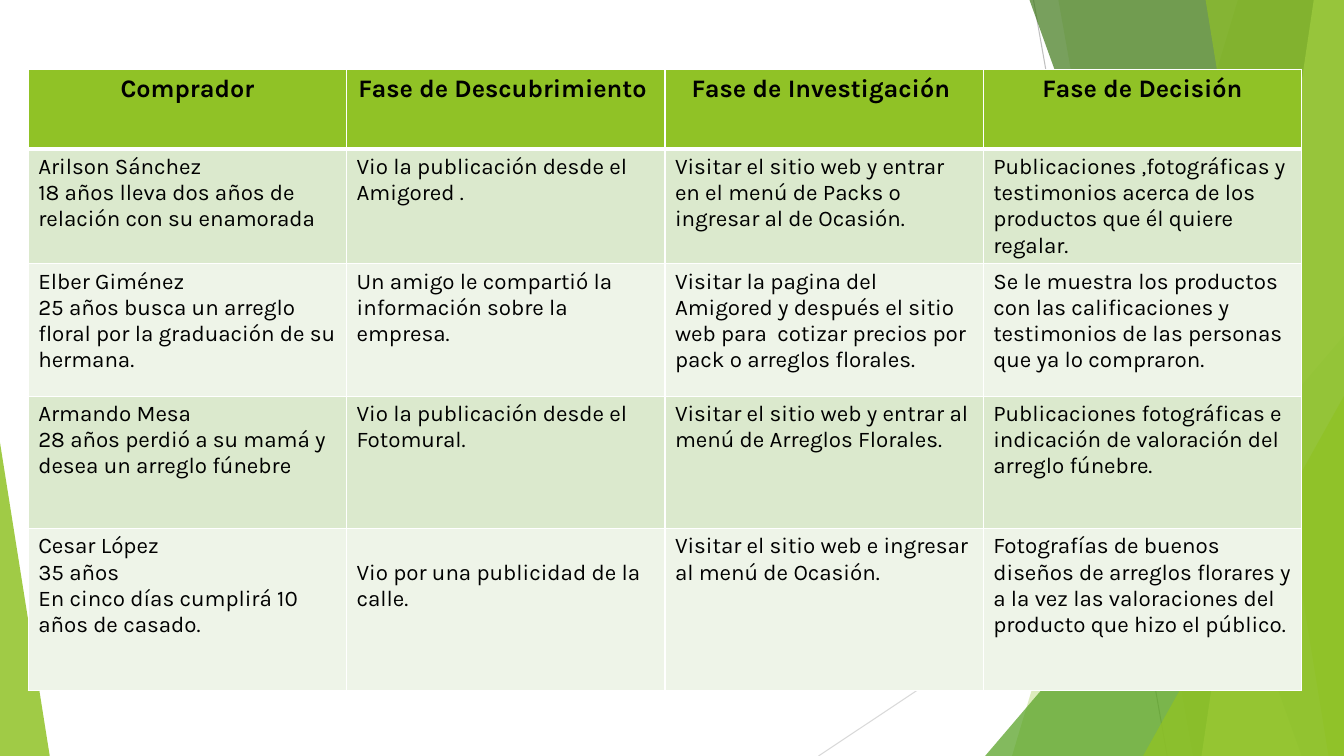
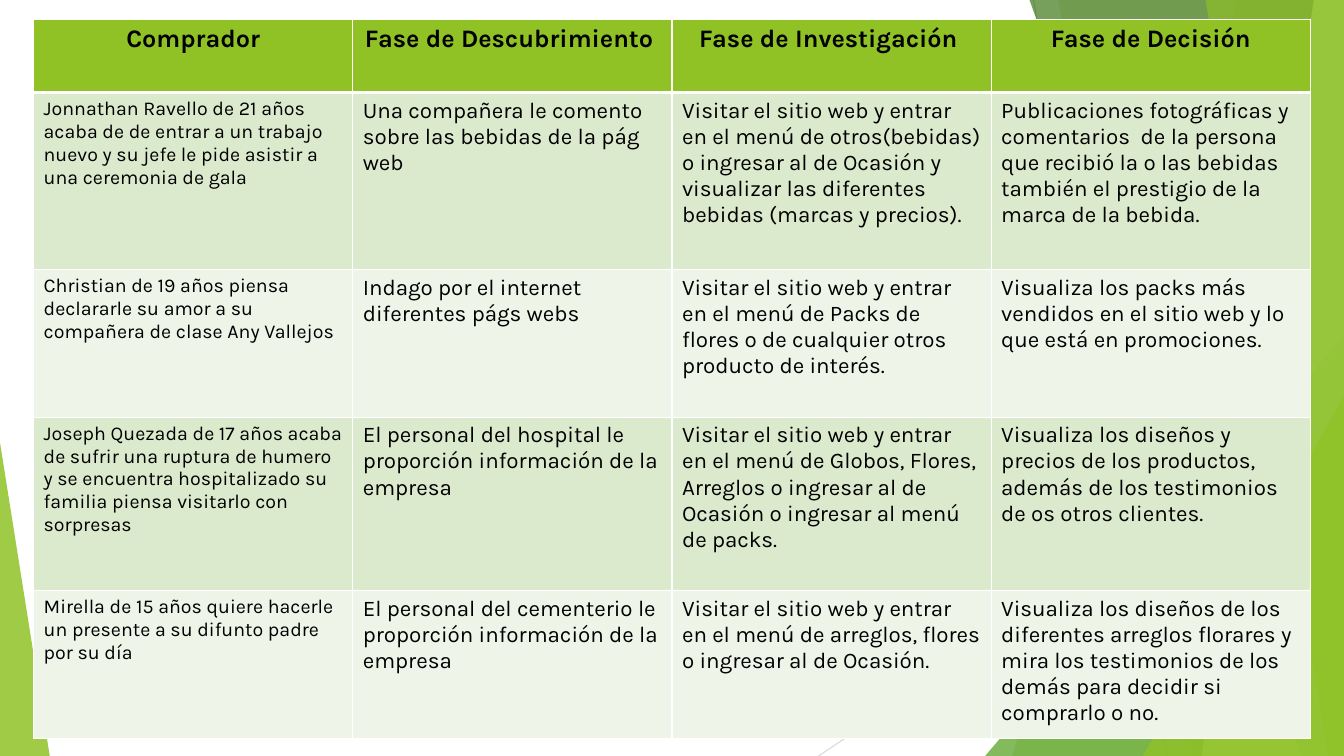
from lxml import etree
from pptx import Presentation
from pptx import util as u
from pptx.dml.color import RGBColor
from pptx.enum import shapes, text
from pptx.oxml.ns import qn

WIDTH, HEIGHT = u.Inches(13.33), u.Inches(7.5)
COL, ROW = WIDTH / 100, HEIGHT / 100
FONT = "Karla"

BLACK = RGBColor(0x00, 0x00, 0x00)
WHITE = RGBColor(0xFF, 0xFF, 0xFF)
GREEN = RGBColor(0x90, 0xC2, 0x26)
LEAF = RGBColor(0x54, 0xA0, 0x21)
FOREST = RGBColor(0x3F, 0x78, 0x19)
LIME = RGBColor(0xC0, 0xE4, 0x74)
BAND_DARK = RGBColor(0xDB, 0xE9, 0xCD)
BAND_LIGHT = RGBColor(0xEE, 0xF4, 0xE8)
GREY = RGBColor(0xBF, 0xBF, 0xBF)
PALE_GREY = RGBColor(0xD9, 0xD9, 0xD9)

RAYS = [
    ((76.9, 0), (86.85, 100), GREY),
    ((100, 53.75), (60.9, 100), PALE_GREY),
]
BACK_SHARDS = [(92.1, 75.3, GREEN, 30), (78.75, 88.75, GREEN, 20)]
FRONT_SHARDS = [
    (76.6, 96.85, FOREST, 70),
    (97.75, 89.4, LIME, 70),
    (89.7, 98.85, GREEN, 65),
]
BACK_PEAK = (73.3, 44.4, 26.7, 1, LEAF, 72)
FRONT_PEAKS = [
    (85.05, 52.4, 14.95, 1, GREEN, 80),
    (0, 58.55, 3.7, 0, GREEN, 85),
]

PHASES = [
    "Comprador",
    "Fase de Descubrimiento ",
    "Fase de Investigación ",
    "Fase de Decisión",
]
COUPLE_BUYERS = [
    [
        "Arilson Sánchez\n18 años lleva dos años de relación con su enamorada",
        "Vio la publicación desde el Amigored .",
        "Visitar el sitio web y entrar en el menú de Packs o ingresar al de Ocasión.",
        "Publicaciones ,fotográficas y testimonios acerca de los productos que él quiere regalar.",
    ],
    [
        "Elber Giménez\n25 años busca un arreglo floral por la graduación de su hermana.",
        "Un amigo le compartió la información sobre la empresa.",
        "Visitar la pagina del Amigored y después el sitio web para  cotizar precios por pack o arreglos florales.",
        "Se le muestra los productos con las calificaciones y testimonios de las personas que ya lo compraron.",
    ],
    [
        "Armando Mesa\n28 años perdió a su mamá y desea un arreglo fúnebre",
        "Vio la publicación desde el\nFotomural.",
        "Visitar el sitio web y entrar al menú de Arreglos Florales.",
        "Publicaciones fotográficas e indicación de valoración del arreglo fúnebre.",
    ],
    [
        "Cesar López\n35 años\nEn cinco días cumplirá 10 años de casado.",
        "Vio por una publicidad de la calle.",
        "Visitar el sitio web e ingresar al menú de Ocasión.",
        "Fotografías de buenos diseños de arreglos florares y a la vez las valoraciones del producto que hizo el público.",
    ],
]
GIFT_BUYERS = [
    [
        "Jonnathan Ravello de 21 años acaba de de entrar a un trabajo nuevo y su jefe le pide asistir a una ceremonia de gala",
        "Una compañera le comento sobre las bebidas de la pág web",
        "Visitar el sitio web y entrar en el menú de otros(bebidas) o ingresar al de Ocasión y visualizar las diferentes bebidas (marcas y precios).",
        "Publicaciones fotográficas y comentarios  de la persona que recibió la o las bebidas también el prestigio de la marca de la bebida.",
    ],
    [
        "Christian de 19 años piensa declararle su amor a su compañera de clase Any Vallejos",
        "Indago por el internet diferentes págs webs",
        "Visitar el sitio web y entrar en el menú de Packs de flores o de cualquier otros producto de interés.",
        "Visualiza los packs más vendidos en el sitio web y lo que está en promociones.",
    ],
    [
        "Joseph Quezada de 17 años acaba de sufrir una ruptura de humero y se encuentra hospitalizado su familia piensa visitarlo con sorpresas",
        "El personal del hospital le proporción información de la empresa",
        "Visitar el sitio web y entrar en el menú de Globos, Flores, Arreglos o ingresar al de Ocasión o ingresar al menú de packs.",
        "Visualiza los diseños y precios de los productos, además de los testimonios de os otros clientes.",
    ],
    [
        "Mirella de 15 años quiere hacerle un presente a su difunto padre por su día",
        "El personal del cementerio le proporción información de la empresa",
        "Visitar el sitio web y entrar en el menú de arreglos, flores o ingresar al de Ocasión.",
        "Visualiza los diseños de los diferentes arreglos florares y mira los testimonios de los demás para decidir si comprarlo o no.",
    ],
]


def grid(x, y):
    """Turn a column and row of the slide grid into a point."""
    return round(x * COL), round(y * ROW)


def tint(shape, color, opacity):
    """Fill a shape with a translucent colour, without outline or shadow."""
    shape.shadow.inherit = False
    shape.fill.solid()
    shape.fill.fore_color.rgb = color
    swatch = shape.element.spPr.find(".//" + qn("a:srgbClr"))
    etree.SubElement(swatch, qn("a:alpha"), val=str(opacity * 1000))
    shape.line.fill.background()


def draw_ray(slide, start, end, color):
    """Draw a thin line between two grid points."""
    ray = slide.shapes.add_connector(
        shapes.MSO_CONNECTOR.STRAIGHT, *grid(*start), *grid(*end))
    ray.line.color.rgb = color
    ray.line.width = u.Pt(0.75)
    etree.SubElement(ray.element.spPr, qn("a:effectLst"))


def draw_shard(slide, top_x, bottom_x, color, opacity):
    """Draw a full-height band from a slanted edge to the right side."""
    outline = slide.shapes.build_freeform(*grid(top_x, 0), scale=1.0)
    outline.add_line_segments([grid(100, 0), grid(100, 100), grid(bottom_x, 100)])
    tint(outline.convert_to_shape(), color, opacity)


def draw_peak(slide, x, y, width, apex, color, opacity):
    """Draw a right triangle that stands on the bottom edge."""
    peak = slide.shapes.add_shape(
        shapes.MSO_SHAPE.ISOSCELES_TRIANGLE, *grid(x, y), *grid(width, 100 - y))
    peak.adjustments[0] = apex
    tint(peak, color, opacity)


def draw_backdrop(slide):
    """Draw the green facets shared by all slides."""
    for ray in RAYS:
        draw_ray(slide, *ray)
    for shard in BACK_SHARDS:
        draw_shard(slide, *shard)
    draw_peak(slide, *BACK_PEAK)
    for shard in FRONT_SHARDS:
        draw_shard(slide, *shard)
    for peak in FRONT_PEAKS:
        draw_peak(slide, *peak)


def style_cell(cell, fill, size, top, bottom, header=False):
    """Set the borders, fill and text style of one cell."""
    properties = cell._tc.get_or_add_tcPr()
    for side, weight in (("L", 1), ("R", 1), ("T", top), ("B", bottom)):
        border = etree.SubElement(properties, qn("a:ln" + side), w=str(u.Pt(weight)))
        paint = etree.SubElement(border, qn("a:solidFill"))
        etree.SubElement(paint, qn("a:srgbClr"), val=str(WHITE))
    cell.fill.solid()
    cell.fill.fore_color.rgb = fill
    for paragraph in cell.text_frame.paragraphs:
        paragraph.alignment = text.PP_ALIGN.CENTER if header else text.PP_ALIGN.LEFT
        for run in paragraph.runs:
            run.font.name = FONT
            run.font.size = u.Pt(size)
            run.font.bold = header
            run.font.color.rgb = BLACK


def add_journey(slide, box, row_heights, buyers, buyer_size):
    """Place the buyer journey table in a box of left, top and width."""
    left, top, width = box
    journey = slide.shapes.add_table(
        len(row_heights), len(PHASES), *grid(left, top),
        *grid(width, sum(row_heights))).table
    for column in journey.columns:
        column.width = round(width * COL / len(PHASES))
    for row, height in zip(journey.rows, row_heights):
        row.height = round(height * ROW)
    for r, entries in enumerate([PHASES] + buyers):
        for c, entry in enumerate(entries):
            cell = journey.cell(r, c)
            cell.text_frame.text = entry
            if r == 0:
                style_cell(cell, GREEN, 18, 1, 3, header=True)
            else:
                band = BAND_DARK if r % 2 else BAND_LIGHT
                size = buyer_size if c == 0 else 16
                style_cell(cell, band, size, 3 if r == 1 else 1, 1)
    return journey


def build_journey_slide(deck, *table_parts):
    """Add a slide with the backdrop and one buyer journey table."""
    slide = deck.slides.add_slide(deck.slide_layouts[6])
    draw_backdrop(slide)
    return add_journey(slide, *table_parts)


def main():
    """Build and save the presentation."""
    deck = Presentation()
    deck.slide_width, deck.slide_height = WIDTH, HEIGHT
    couples = build_journey_slide(
        deck, (2.1, 9.2, 94.75), [10.5, 13.9, 17.5, 17.5, 21.5], COUPLE_BUYERS, 16)
    couples.cell(4, 1).margin_top = u.Inches(0.31)
    build_journey_slide(
        deck, (2.5, 2.55, 95), [9.7, 23.45, 19.5, 22.95, 19.5], GIFT_BUYERS, 14)
    deck.save("out.pptx")


if __name__ == "__main__":
    main()
